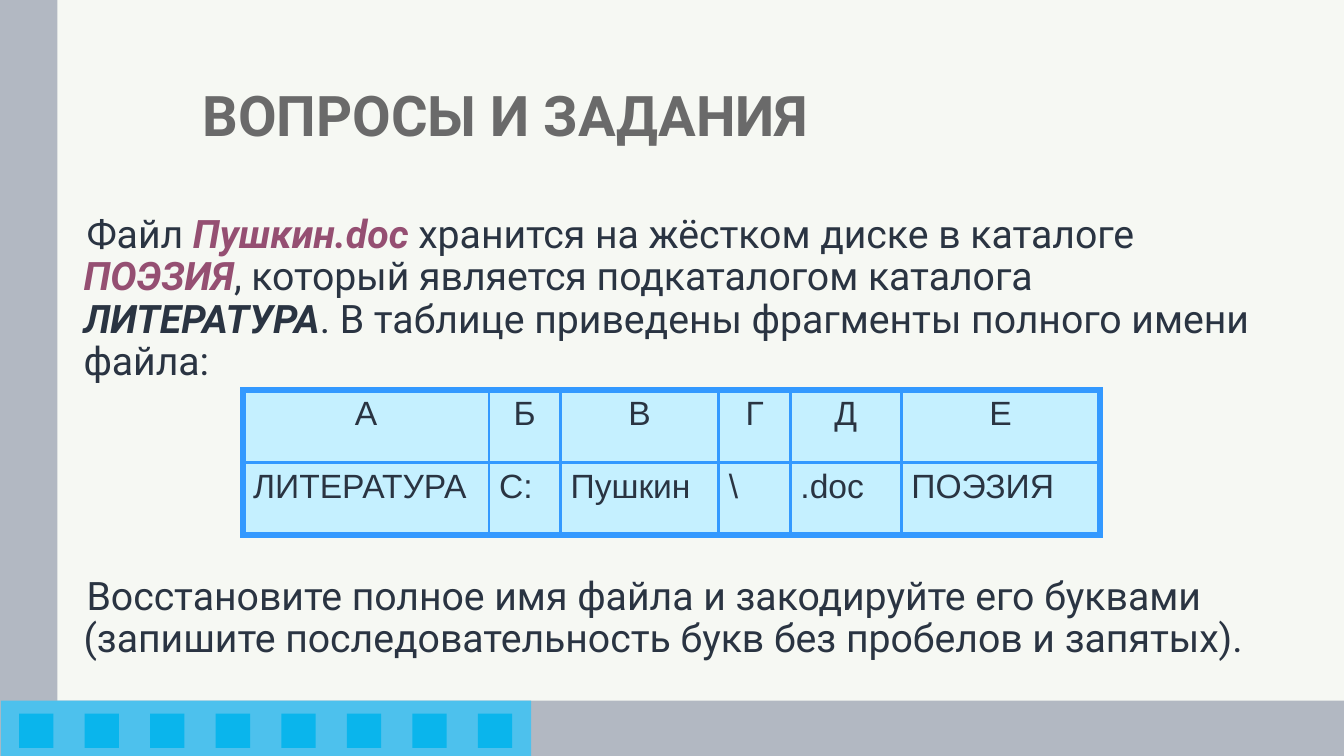
"""Builds the slide with a file-name question and a table of lettered fragments."""
from lxml.etree import SubElement
from pptx import Presentation
from pptx.dml.color import RGBColor
from pptx.enum.shapes import MSO_SHAPE as Shape
from pptx.enum.text import MSO_ANCHOR as Anchor, PP_ALIGN as Align
from pptx.oxml import parse_xml
from pptx.oxml.ns import nsdecls, qn
from pptx.util import Inches, Pt

WIDTH, HEIGHT = 13.33, 7.5
PAPER, GREY, INK, HEADING, ACCENT = "F6F8F3", "B2B8C2", "2A3442", "6A6A6A", "954F72"
SKY, BLUE, CELL, GRID = "4DC1ED", "0AB5EC", "C5F0FF", "3399FF"

TITLE = [("ВОПРОСЫ И ЗАДАНИЯ", HEADING, True, False)]
QUESTION = [
    ("Файл ", INK, False, False),
    ("Пушкин.doc ", ACCENT, True, True),
    ("хранится на жёстком диске в каталоге ", INK, False, False),
    ("ПОЭЗИЯ", ACCENT, True, True),
    (", который является подкаталогом каталога ", INK, False, False),
    ("ЛИТЕРАТУРА", INK, True, True),
    (". В таблице приведены фрагменты полного имени файла:", INK, False, False),
]
TASK = [("Восстановите полное имя файла и закодируйте его буквами "
         "(запишите последовательность букв без пробелов и запятых).", INK, False, False)]
FRAGMENTS = [
    ("А", "Б", "В", "Г", "Д", "Е"),
    ("ЛИТЕРАТУРА", "С:", "Пушкин", "\\", ".doc", "ПОЭЗИЯ"),
]
COLUMNS = (2.44, 0.71, 1.57, 0.71, 1.1, 1.97)
ROW = 0.72
BAND = 0.57
SQUARE, SQUARES, STEP = 0.34, 8, 0.65
MARGIN, TEXT_WIDTH = 0.73, 11.88


def color(code):
    return RGBColor.from_string(code)


def add_block(page, left, top, width, height, fill):
    block = page.shapes.add_shape(Shape.RECTANGLE, *map(Inches, (left, top, width, height)))
    block.shadow.inherit = False
    block.fill.solid()
    block.fill.fore_color.rgb = color(fill)
    block.line.fill.background()


def add_text(page, area, spans, size, anchor=Anchor.TOP, indent=0):
    box = page.shapes.add_textbox(*map(Inches, area))
    frame = box.text_frame
    frame.word_wrap = True
    frame.vertical_anchor = anchor
    para = frame.paragraphs[0]
    para.line_spacing = 0.9
    para._p.get_or_add_pPr().set("indent", str(Inches(indent)))
    para.font.size = Pt(size)
    para.font.name = "Roboto"
    for text, ink, bold, italic in spans:
        span = para.add_run()
        span.text = text
        span.font.color.rgb = color(ink)
        span.font.bold, span.font.italic = bold, italic


def set_borders(cell, outer_sides):
    properties = cell._tc.get_or_add_tcPr()
    for place, side in enumerate("LRTB"):
        points = 4.5 if side in outer_sides else 2.25
        line = parse_xml(f'<a:ln{side} {nsdecls("a")} w="{Pt(points)}"/>')
        fill = SubElement(line, qn("a:solidFill"))
        SubElement(fill, qn("a:srgbClr"), val=GRID)
        properties.insert(place, line)


def add_fragments(page, left, top):
    last_row, last_column = len(FRAGMENTS) - 1, len(COLUMNS) - 1
    table = page.shapes.add_table(
        len(FRAGMENTS), len(COLUMNS),
        *map(Inches, (left, top, sum(COLUMNS), ROW * len(FRAGMENTS)))).table
    for column, width in zip(table.columns, COLUMNS):
        column.width = Inches(width)
    for r, texts in enumerate(FRAGMENTS):
        for c, text in enumerate(texts):
            cell = table.cell(r, c)
            cell.text = text
            cell.fill.solid()
            cell.fill.fore_color.rgb = color(CELL)
            edges = {"L": c == 0, "R": c == last_column, "T": r == 0, "B": r == last_row}
            set_borders(cell, [side for side, outer in edges.items() if outer])
            para = cell.text_frame.paragraphs[0]
            para.alignment = Align.LEFT if r else Align.CENTER
            para.font.size = Pt(24)
            para.font.name = "Arial"
            para.font.bold = False
            para.font.color.rgb = color(INK)


def main():
    deck = Presentation()
    deck.slide_width, deck.slide_height = Inches(WIDTH), Inches(HEIGHT)
    page = deck.slides.add_slide(deck.slide_layouts[6])
    page.background.fill.solid()
    page.background.fill.fore_color.rgb = color(PAPER)

    band_top = 6.95
    add_block(page, 0, 0, BAND, HEIGHT, GREY)
    add_block(page, 0, band_top, WIDTH, BAND, GREY)
    add_block(page, 0.01, band_top, 5.26, BAND, SKY)
    for i in range(SQUARES):
        add_block(page, 0.19 + i * STEP, 7.08, SQUARE, SQUARE, BLUE)

    add_text(page, (1.91, 0.45, 10.7, 1.45), TITLE, 40, Anchor.MIDDLE)
    add_text(page, (MARGIN, 2.08, TEXT_WIDTH, 1.8), QUESTION, 28, indent=0.03)
    add_text(page, (MARGIN, 5.67, TEXT_WIDTH, 0.95), TASK, 28, indent=0.03)
    add_fragments(page, 2.41, 3.87)
    deck.save("out.pptx")


if __name__ == "__main__":
    main()
